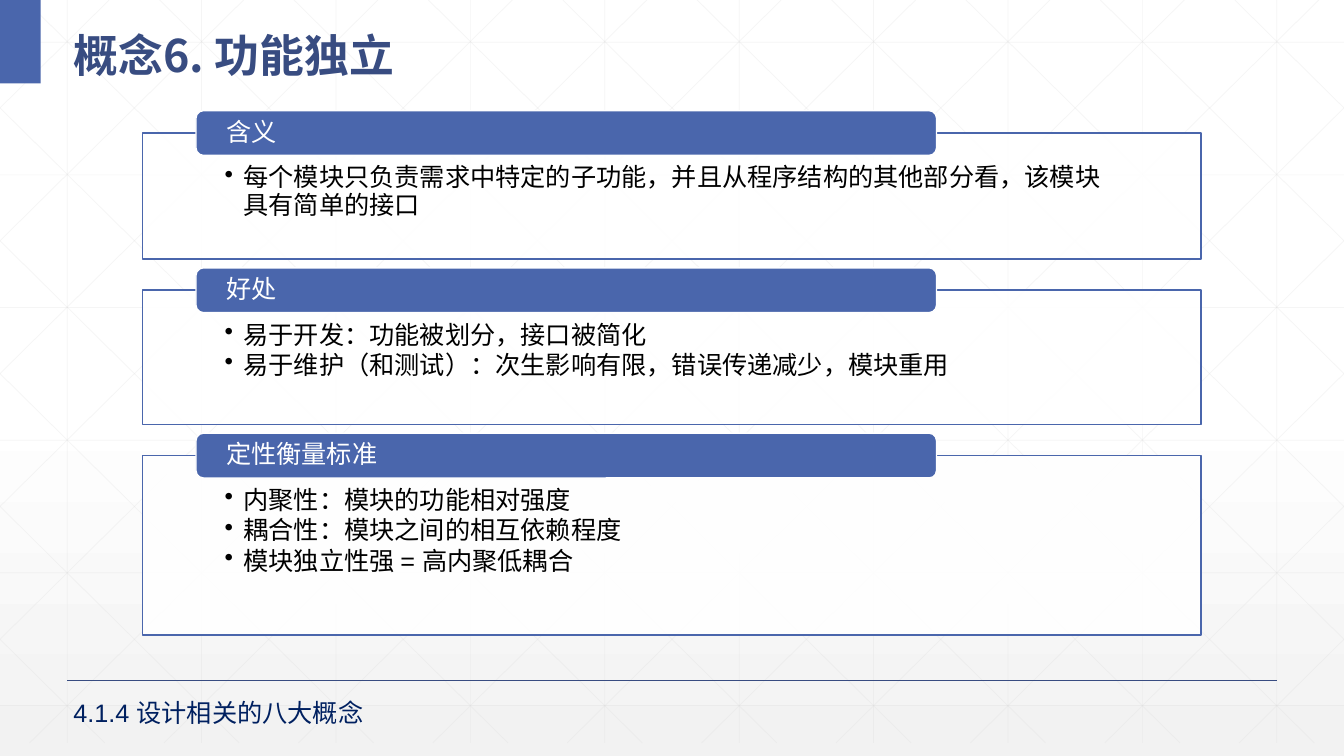
from dataclasses import dataclass

import pptx
import pptx.dml.color
import pptx.enum.shapes
import pptx.enum.text
import pptx.oxml
import pptx.oxml.ns
import pptx.oxml.xmlchemy
import pptx.util

Pt = pptx.util.Pt
MSO_SHAPE = pptx.enum.shapes.MSO_SHAPE
ANCHOR = pptx.enum.text.MSO_ANCHOR
AUTO_SIZE = pptx.enum.text.MSO_AUTO_SIZE
qn = pptx.oxml.ns.qn


@dataclass(frozen=True)
class Theme:
    accent: str = "4A66AC"
    title: str = "384C81"
    footer: str = "002060"
    text: str = "000000"
    white: str = "FFFFFF"
    shade: str = "F2F2F2"
    pattern: str = "D9D9D9"
    latin: str = "Arial"
    chinese: str = "Noto Sans CJK SC"
    title_size: int = 32
    text_size: int = 18


THEME = Theme()
WIDTH, HEIGHT = 960, 540
PATTERN_HEIGHT = 530.6
SECTION_GAP = 22.3

SECTIONS = [
    ("含义", 90, ["每个模块只负责需求中特定的子功能，并且从程序结构的其他部分看，该模块具有简单的接口"]),
    ("好处", 95.8, [
        "易于开发：功能被划分，接口被简化",
        "易于维护（和测试）：次生影响有限，错误传递减少，模块重用",
    ]),
    ("定性衡量标准", 128.2, [
        "内聚性：模块的功能相对强度",
        "耦合性：模块之间的相互依赖程度",
        "模块独立性强 = 高内聚低耦合",
    ]),
]


def rgb(color):
    return pptx.dml.color.RGBColor.from_string(color)


def set_opacity(fill, percent):
    color = fill.fore_color._xFill.find(qn("a:srgbClr"))
    pptx.oxml.xmlchemy.OxmlElement("a:alpha")
    alpha = color.makeelement(qn("a:alpha"), {"val": str(percent * 1000)})
    color.append(alpha)


def format_runs(text_frame, color, size=THEME.text_size, latin=THEME.latin, bold=False):
    for paragraph in text_frame.paragraphs:
        for run in paragraph.runs:
            run.font.size = Pt(size)
            run.font.bold = bold
            run.font.color.rgb = rgb(color)
            run.font.name = latin
            properties = run.font._element
            properties.append(properties.makeelement(qn("a:ea"), {"typeface": THEME.chinese}))


def set_margins(text_frame, left, top, right, bottom):
    text_frame.margin_left, text_frame.margin_top = Pt(left), Pt(top)
    text_frame.margin_right, text_frame.margin_bottom = Pt(right), Pt(bottom)


def add_line(slide, start, end, color, width, opacity=100):
    line = slide.shapes.add_connector(
        pptx.enum.shapes.MSO_CONNECTOR.STRAIGHT, *(Pt(value) for value in (*start, *end)))
    line.line.width = Pt(width)
    line.line.color.rgb = rgb(color)
    if opacity < 100:
        set_opacity(line.line.fill, opacity)
    properties = line.element.spPr
    properties.append(properties.makeelement(qn("a:effectLst"), {}))


def add_box(slide, kind, left, top, width, height, fill, outline=None):
    shape = slide.shapes.add_shape(kind, Pt(left), Pt(top), Pt(width), Pt(height))
    shape.shadow.inherit = False
    shape.fill.solid()
    shape.fill.fore_color.rgb = rgb(fill)
    if outline:
        shape.line.color.rgb = rgb(outline)
        shape.line.width = Pt(1)
    else:
        shape.line.fill.background()
    return shape


def add_background(slide):
    fill = slide.background.fill
    fill.gradient()
    fill.gradient_angle = 270
    for stop, position, color in zip(fill.gradient_stops, (0.53, 1), (THEME.white, THEME.shade)):
        stop.position = position
        stop.color.rgb = rgb(color)


def add_pattern(slide):
    """Draw the faint grid with its two mirrored families of diagonals."""
    segments = [((48 + 96 * i, 0), (48 + 96 * i, PATTERN_HEIGHT)) for i in range(10)]
    segments += [((0, 30.2 + 94.75 * i), (WIDTH, 30.2 + 94.75 * i)) for i in range(6)]
    run = 536.8
    for i in range(-5, 10):
        origin = 18 + 96 * i
        ends = [(x, (x - origin) * PATTERN_HEIGHT / run)
                for x in (max(origin, 0), min(origin + run, WIDTH))]
        segments.append(tuple(ends))
        segments.append(tuple((WIDTH - x, y) for x, y in ends))
    for start, end in segments:
        add_line(slide, start, end, THEME.pattern, 0.5, opacity=25)


def add_title(slide, text):
    title = slide.shapes.title
    slide.shapes.element.append(title.element)  # in front of the pattern
    title.left, title.top, title.width, title.height = Pt(45.4), Pt(7.2), Pt(894.2), Pt(52.6)
    frame = title.text_frame
    frame.text = text
    frame.auto_size = AUTO_SIZE.NONE
    frame.vertical_anchor = ANCHOR.MIDDLE
    paragraph = frame.paragraphs[0]
    paragraph.alignment = pptx.enum.text.PP_ALIGN.LEFT
    paragraph.line_spacing = 1.3
    paragraph.space_before = Pt(0)
    format_runs(frame, THEME.title, THEME.title_size, THEME.chinese, bold=True)


def add_bullet(paragraph):
    properties = paragraph._p.get_or_add_pPr()
    properties.set("marL", str(Pt(13.5)))
    properties.set("indent", str(Pt(-13.5)))
    properties.append(properties.makeelement(qn("a:buChar"), {"char": "•"}))


def add_section(slide, top, height, heading, points):
    body = add_box(slide, MSO_SHAPE.RECTANGLE, 102, top, 756, height, THEME.white, THEME.accent)
    set_opacity(body.fill, 90)
    frame = body.text_frame
    frame.text = "\n".join(points)
    frame.vertical_anchor = ANCHOR.TOP
    set_margins(frame, 58.5, 23, 58.5, 10)
    for paragraph in frame.paragraphs:
        paragraph.level = 1
        paragraph.alignment = pptx.enum.text.PP_ALIGN.LEFT
        paragraph.line_spacing = 0.9
        paragraph.space_after = Pt(2.2)
        add_bullet(paragraph)
    format_runs(frame, THEME.text)

    header = add_box(slide, MSO_SHAPE.ROUNDED_RECTANGLE, 140, top - 16, 529, 32,
                     THEME.accent, THEME.white)
    frame = header.text_frame
    frame.text = heading
    frame.vertical_anchor = ANCHOR.MIDDLE
    set_margins(frame, 20, 0, 20, 0)
    frame.paragraphs[0].alignment = pptx.enum.text.PP_ALIGN.LEFT
    frame.paragraphs[0].line_spacing = 0.9
    format_runs(frame, THEME.white)


def add_footer(slide, text):
    frame = slide.shapes.add_textbox(Pt(45.4), Pt(494.6), Pt(272), Pt(29)).text_frame
    frame.word_wrap = True
    frame.auto_size = AUTO_SIZE.SHAPE_TO_FIT_TEXT
    frame.text = text
    format_runs(frame, THEME.footer)


def main():
    presentation = pptx.Presentation()
    presentation.slide_width, presentation.slide_height = Pt(WIDTH), Pt(HEIGHT)
    slide = presentation.slides.add_slide(presentation.slide_layouts.get_by_name("Title Only"))
    add_background(slide)
    add_pattern(slide)
    add_line(slide, (48, 486), (912, 486), THEME.title, 1)
    add_box(slide, MSO_SHAPE.RECTANGLE, 0, 0, 29, 59.5, THEME.accent)
    add_title(slide, "概念6. 功能独立")
    top = 95
    for heading, height, points in SECTIONS:
        add_section(slide, top, height, heading, points)
        top += height + SECTION_GAP
    add_footer(slide, "4.1.4 设计相关的八大概念")
    presentation.save("out.pptx")


if __name__ == "__main__":
    main()
